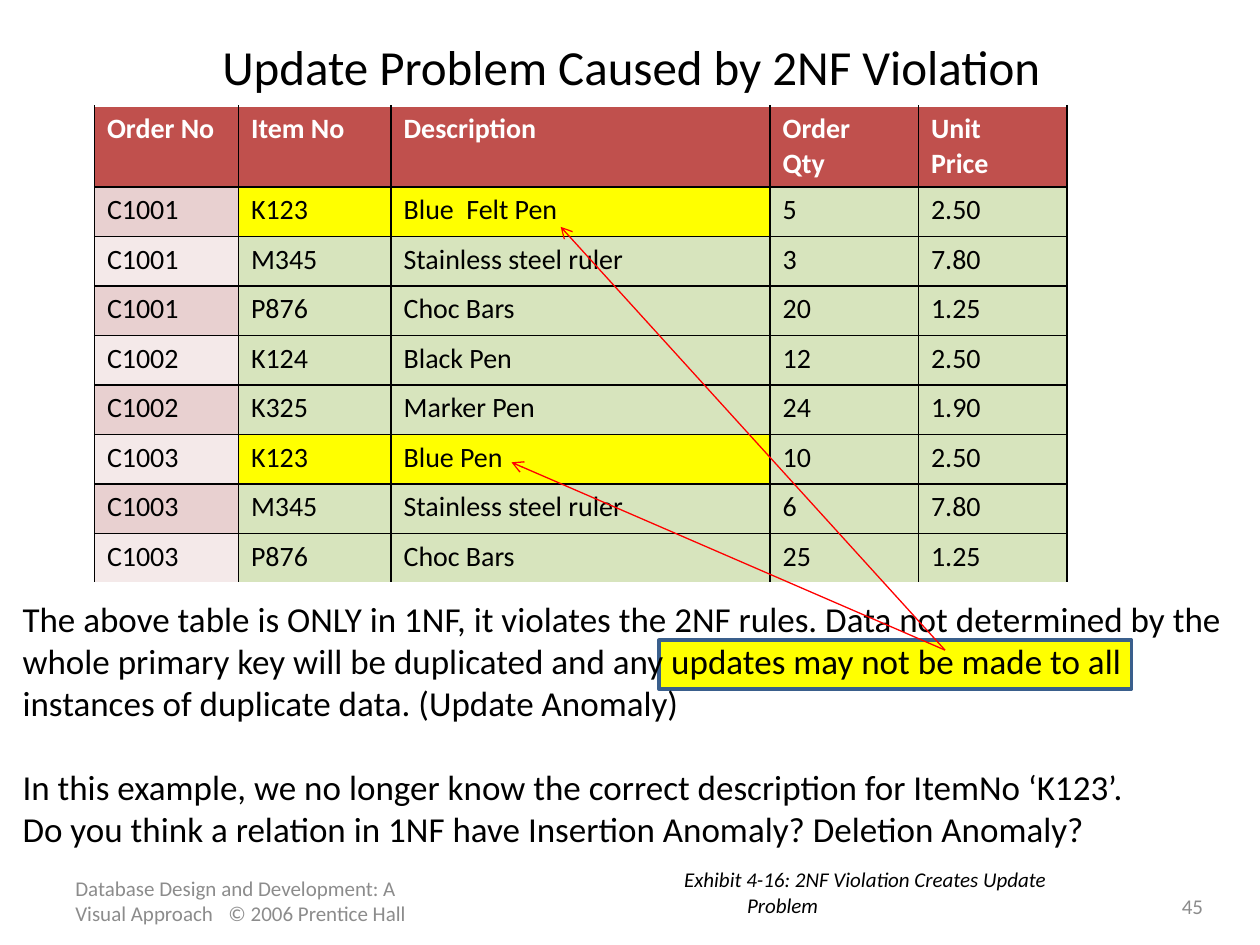
from lxml.etree import SubElement
from pptx import Presentation
from pptx.dml.color import RGBColor
from pptx.enum.shapes import MSO_CONNECTOR, MSO_SHAPE
from pptx.enum.text import MSO_ANCHOR, PP_ALIGN
from pptx.oxml.ns import qn
from pptx.util import Pt

BLACK = RGBColor(0x00, 0x00, 0x00)
WHITE = RGBColor(0xFF, 0xFF, 0xFF)
GREY = RGBColor(0x8C, 0x8C, 0x8C)
RED = RGBColor(0xFF, 0x00, 0x00)
YELLOW = RGBColor(0xFF, 0xFF, 0x00)
NAVY = RGBColor(0x3A, 0x5F, 0x8C)
HEADER_RED = RGBColor(0xC0, 0x50, 0x4D)
PINK = RGBColor(0xE8, 0xD0, 0xD0)
PALE_PINK = RGBColor(0xF4, 0xE9, 0xE9)
GREEN = RGBColor(0xD7, 0xE4, 0xBD)

HEADERS = ["Order No", "Item No", "Description", "Order\nQty", "Unit\nPrice"]
ORDER_LINES = [
    ["C1001", "K123", "Blue  Felt Pen", "5", "2.50"],
    ["C1001", "M345", "Stainless steel ruler", "3", "7.80"],
    ["C1001", "P876", "Choc Bars", "20", "1.25"],
    ["C1002", "K124", "Black Pen", "12", "2.50"],
    ["C1002", "K325", "Marker Pen", "24", "1.90"],
    ["C1003", "K123", "Blue Pen", "10", "2.50"],
    ["C1003", "M345", "Stainless steel ruler", "6", "7.80"],
    ["C1003", "P876", "Choc Bars", "25", "1.25"],
]
COLUMN_WIDTHS = [82.3, 87.2, 216.6, 84.8, 84.8]
HEADER_HEIGHT, ROW_HEIGHT = 45.6, 28.3


def write(text_frame, lines, size, color, bold=False, italic=False, align=None):
    for index, line in enumerate(lines):
        paragraph = text_frame.paragraphs[0] if index == 0 else text_frame.add_paragraph()
        paragraph.alignment = align
        run = paragraph.add_run()
        run.text = line
        run.font.name = "Calibri"
        run.font.size = Pt(size)
        run.font.bold = bold
        run.font.italic = italic
        run.font.color.rgb = color


def add_text(left, top, width, height, lines, size, color,
             anchor=MSO_ANCHOR.TOP, wrap=True, italic=False, align=None):
    box = slide.shapes.add_textbox(Pt(left), Pt(top), Pt(width), Pt(height))
    box.text_frame.word_wrap = wrap
    box.text_frame.vertical_anchor = anchor
    write(box.text_frame, lines, size, color, italic=italic, align=align)
    return box.text_frame


presentation = Presentation()
presentation.slide_width = Pt(720)
presentation.slide_height = Pt(540)
slide = presentation.slides.add_slide(presentation.slide_layouts[6])

# Highlight behind the explanation
highlight = slide.shapes.add_shape(MSO_SHAPE.RECTANGLE, Pt(376.6), Pt(365.8), Pt(270), Pt(28))
highlight.shadow.inherit = False
highlight.fill.solid()
highlight.fill.fore_color.rgb = YELLOW
highlight.line.color.rgb = NAVY
highlight.line.width = Pt(2)

# Order table
rows = [HEADERS] + ORDER_LINES
table_height = HEADER_HEIGHT + ROW_HEIGHT * len(ORDER_LINES)
table = slide.shapes.add_table(len(rows), len(HEADERS), Pt(54), Pt(60.5),
                               Pt(sum(COLUMN_WIDTHS)), Pt(table_height)).table
for column, width in zip(table.columns, COLUMN_WIDTHS):
    column.width = Pt(width)

for row_index, values in enumerate(rows):
    is_header = row_index == 0
    is_last = row_index == len(rows) - 1
    table.rows[row_index].height = Pt(HEADER_HEIGHT if is_header else ROW_HEIGHT)
    for column_index, value in enumerate(values):
        cell = table.cell(row_index, column_index)
        if is_header:
            fill = HEADER_RED
        elif column_index == 0:
            fill = PINK if row_index % 2 else PALE_PINK
        elif values[1] == "K123" and column_index < 3:
            fill = YELLOW
        else:
            fill = GREEN

        borders = {"lnL": BLACK, "lnR": BLACK,
                   "lnT": WHITE if is_header else BLACK,
                   "lnB": WHITE if is_last else BLACK}
        properties = cell._tc.get_or_add_tcPr()
        for side, color in borders.items():
            border = SubElement(properties, qn(f"a:{side}"), w=str(Pt(1)))
            solid = SubElement(border, qn("a:solidFill"))
            SubElement(solid, qn("a:srgbClr"), val=str(color))
        cell.fill.solid()
        cell.fill.fore_color.rgb = fill
        write(cell.text_frame, value.split("\n"), 16,
              WHITE if is_header else BLACK, bold=is_header)

# Title, explanation, caption and footer
footer = add_text(36, 500.4, 211.7, 28.8,
                  ["Database Design and Development: A Visual Approach\t© 2006 Prentice Hall"],
                  12, GREY, anchor=MSO_ANCHOR.MIDDLE)
footer_tabs = SubElement(footer.paragraphs[0]._p.get_or_add_pPr(), qn("a:tabLst"))
SubElement(footer_tabs, qn("a:tab"), pos=str(Pt(87.5)), algn="l")

add_text(36.7, 15.1, 648, 45.4, ["Update Problem Caused by 2NF Violation"],
         28, BLACK, anchor=MSO_ANCHOR.MIDDLE, align=PP_ALIGN.CENTER)

add_text(383.8, 491.8, 243.4, 36,
         ["Exhibit 4-16: 2NF Violation Creates Update", "\tProblem"],
         12, BLACK, wrap=False, italic=True)

explanation = add_text(5.8, 337.7, 705.6, 177, [
    "The above table is ONLY in 1NF, it violates the 2NF rules. Data not determined by the "
    "whole primary key will be duplicated and any updates may not be made to all instances "
    "of duplicate data. (Update Anomaly)",
    "In this example, we no longer know the correct description for ItemNo ‘K123’.",
    "Do you think a relation in 1NF have Insertion Anomaly? Deletion Anomaly?",
], 20, BLACK)
explanation.paragraphs[1].space_before = Pt(24)

add_text(660.2, 506.2, 42.5, 23, ["45"], 12, GREY,
         anchor=MSO_ANCHOR.MIDDLE, align=PP_ALIGN.CENTER)

# Arrows to the two conflicting descriptions
for end_x, end_y in [(320.4, 129.6), (292.3, 264.2)]:
    arrow = slide.shapes.add_connector(MSO_CONNECTOR.STRAIGHT, Pt(540), Pt(371.5),
                                       Pt(end_x), Pt(end_y))
    arrow.line.color.rgb = RED
    arrow.line.width = Pt(0.75)
    SubElement(arrow.line._get_or_add_ln(), qn("a:tailEnd"), type="arrow")
    SubElement(arrow._element.spPr, qn("a:effectLst"))

presentation.save("out.pptx")
